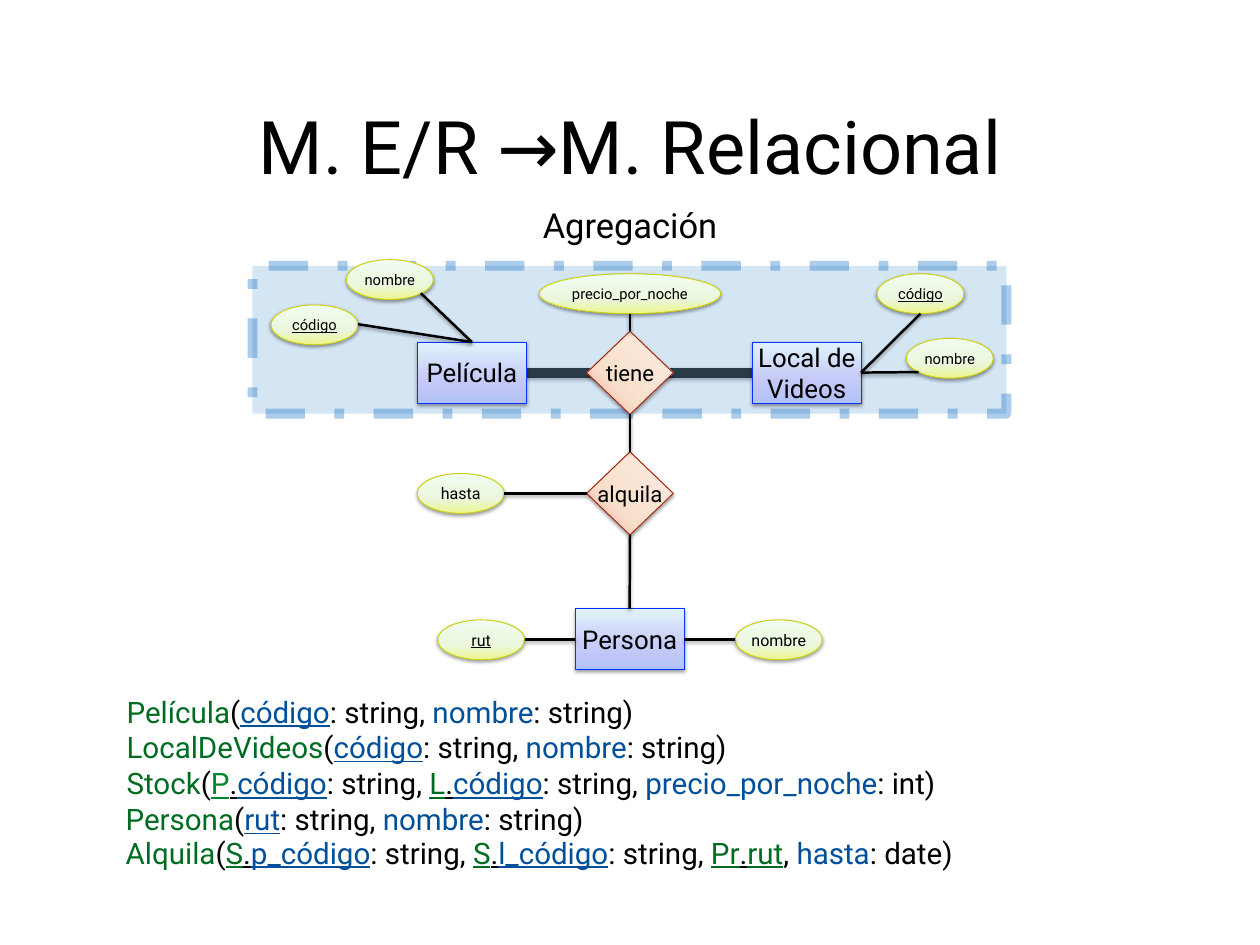
import copy

import pptx
import pptx.dml.color
import pptx.enum.dml
import pptx.enum.shapes
import pptx.enum.text
import pptx.oxml
import pptx.oxml.ns
import pptx.util

Pt = pptx.util.Pt
RGBColor = pptx.dml.color.RGBColor
SHAPE = pptx.enum.shapes.MSO_SHAPE
ALIGN = pptx.enum.text.PP_ALIGN
ANCHOR = pptx.enum.text.MSO_ANCHOR
AUTO_SIZE = pptx.enum.text.MSO_AUTO_SIZE

FONT = "Roboto"
BLACK = RGBColor(0x00, 0x00, 0x00)
GREEN = RGBColor(0x00, 0x6C, 0x22)
LIGHT_GREEN = RGBColor(0x00, 0x88, 0x2B)
BLUE = RGBColor(0x02, 0x50, 0x99)
REGION_FILL = RGBColor(0x7F, 0xB1, 0xDF)
REGION_LINE = RGBColor(0x03, 0x65, 0xC0)
ENTITY_LINE = RGBColor(0x04, 0x33, 0xFF)
RELATION_LINE = RGBColor(0xA0, 0x1D, 0x04)
ATTRIBUTE_LINE = RGBColor(0xCC, 0xCF, 0x00)
ENTITY_STOPS = [(0, RGBColor(0xB2, 0xC2, 0xF5)), (0.36, RGBColor(0xC4, 0xC9, 0xF7)),
                (1, RGBColor(0xE1, 0xF2, 0xFC))]
RELATION_STOPS = [(0, RGBColor(0xF5, 0xA0, 0x9A)), (0.35, RGBColor(0xF7, 0xE0, 0xCB)),
                  (1, RGBColor(0xFF, 0xEB, 0xE7))]
ATTRIBUTE_STOPS = [(0, RGBColor(0xEC, 0xF5, 0x8E)), (0.36, RGBColor(0xEA, 0xF7, 0xDC)),
                   (1, RGBColor(0xF1, 0xFC, 0xF1))]
NAMESPACE = pptx.oxml.ns.nsdecls("a")
SHADOW = (f'<a:effectLst {NAMESPACE}><a:outerShdw blurRad="38100" dist="20320" dir="5400000" '
          'rotWithShape="0"><a:srgbClr val="000000"><a:alpha val="38000"/></a:srgbClr>'
          '</a:outerShdw></a:effectLst>')
ALPHA = f'<a:alpha {NAMESPACE} val="33000"/>'

PLAIN = {"color": BLACK, "underline": False}
TABLE = {"color": GREEN, "underline": False}
COLUMN = {"color": BLUE, "underline": False}
KEY = {"color": BLUE, "underline": True}
REFERENCE = {"color": GREEN, "underline": True}
LIGHT_REFERENCE = {"color": LIGHT_GREEN, "underline": True}
DOT = {"color": BLACK, "underline": True}


def write_text(shape, runs, size, align, inset, anchor=ANCHOR.MIDDLE, wrap=True,
               auto_size=AUTO_SIZE.NONE):
    """Fill a shape with one paragraph of (text, format) runs."""
    frame = shape.text_frame
    frame_format = {"margin_left": Pt(inset), "margin_right": Pt(inset),
                    "margin_top": Pt(inset), "margin_bottom": Pt(inset),
                    "vertical_anchor": anchor, "word_wrap": wrap, "auto_size": auto_size}
    for name, value in frame_format.items():
        setattr(frame, name, value)
    paragraph = frame.paragraphs[0]
    paragraph.alignment = align
    for text, style in runs:
        run = paragraph.add_run()
        run.text = text
        font_format = {"name": FONT, "size": Pt(size), "underline": style["underline"]}
        for name, value in font_format.items():
            setattr(run.font, name, value)
        run.font.color.rgb = style["color"]


def add_line(begin, end, width):
    connector = slide.shapes.add_connector(
        pptx.enum.shapes.MSO_CONNECTOR.STRAIGHT, *(Pt(value) for value in (*begin, *end)))
    connector.line.color.rgb = BLACK
    connector.line.width = Pt(width)
    connector.element.spPr.append(pptx.oxml.parse_xml(SHADOW))
    return connector


presentation = pptx.Presentation()
presentation.slide_width = Pt(1024)
presentation.slide_height = Pt(768)
slide = presentation.slides.add_slide(presentation.slide_layouts[5])

# Headings
title = slide.shapes.title
title_box = {"left": 154, "top": 78.5, "width": 716, "height": 79}
for name, value in title_box.items():
    setattr(title, name, Pt(value))
write_text(title, [("M. E/R →M. Relacional", PLAIN)], 60, ALIGN.CENTER, 4)
subtitle = slide.shapes.add_textbox(Pt(228), Pt(162), Pt(568), Pt(41))
write_text(subtitle, [("Agregación", PLAIN)], 28, ALIGN.CENTER, 4)

# Aggregation region, in front of the thick relation line
relation_line = add_line((428, 303), (611, 303), 8)
region = slide.shapes.add_shape(SHAPE.RECTANGLE, Pt(205.2), Pt(216), Pt(612.7), Pt(120.2))
region.shadow.inherit = False
region.fill.solid()
region.fill.fore_color.rgb = REGION_FILL
region.line.color.rgb = REGION_LINE
region.line.width = Pt(8)
region.line.dash_style = pptx.enum.dml.MSO_LINE.DASH_DOT
for color in region.element.spPr.iter(pptx.oxml.ns.qn("a:srgbClr")):
    color.append(pptx.oxml.parse_xml(ALPHA))

# Entities, relations and attributes: shape, size, stops, line colour, gradient angle
ENTITY = (SHAPE.RECTANGLE, 88.4, 49.6, ENTITY_STOPS, ENTITY_LINE, 90)
RELATION = (SHAPE.DIAMOND, 70.4, 67.6, RELATION_STOPS, RELATION_LINE, 45)
ATTRIBUTE = (SHAPE.OVAL, 70.6, 32.4, ATTRIBUTE_STOPS, ATTRIBUTE_LINE, 90)
WIDE_ATTRIBUTE = (SHAPE.OVAL, 147.6, *ATTRIBUTE[2:])
diagram = [
    (ENTITY, "Película", 383.5, 302.8, 21, PLAIN),
    (RELATION, "alquila", 512, 401, 18, PLAIN),
    (ENTITY, "Local de Videos", 655.6, 302.8, 21, PLAIN),
    (ENTITY, "Persona", 511.7, 519.6, 21, PLAIN),
    (RELATION, "tiene", 512, 303, 18, PLAIN),
    (ATTRIBUTE, "código", 255.6, 264, 12, DOT),
    (ATTRIBUTE, "código", 748.1, 238.7, 12, DOT),
    (ATTRIBUTE, "nombre", 771.9, 291.2, 12, PLAIN),
    (ATTRIBUTE, "nombre", 316.8, 227.2, 12, PLAIN),
    (WIDE_ATTRIBUTE, "precio_por_noche", 512, 238.7, 12, PLAIN),
    (ATTRIBUTE, "hasta", 374.4, 401, 13, PLAIN),
    (ATTRIBUTE, "rut", 391, 520, 13, DOT),
    (ATTRIBUTE, "nombre", 632.9, 520, 13, PLAIN),
]
nodes = {}
for (kind, width, height, stops, line_color, angle), label, x, y, size, style in diagram:
    node = slide.shapes.add_shape(kind, Pt(x - width / 2), Pt(y - height / 2),
                                  Pt(width), Pt(height))
    node.fill.gradient()
    node.fill.gradient_angle = angle
    stop_list = node.element.spPr.find(".//" + pptx.oxml.ns.qn("a:gsLst"))
    stop_list.insert(1, copy.deepcopy(stop_list[0]))
    for stop, (position, color) in zip(node.fill.gradient_stops, stops):
        stop.position = position
        stop.color.rgb = color
    node.line.color.rgb = line_color
    node.line.width = Pt(0.75)
    node.element.spPr.append(pptx.oxml.parse_xml(SHADOW))
    write_text(node, [(label, style)], size, ALIGN.CENTER, 0, wrap=kind == SHAPE.RECTANGLE)
    nodes[label] = node

relation_line.begin_connect(nodes["Película"], 3)
relation_line.end_connect(nodes["Local de Videos"], 1)

# Thin lines: start point, joined node and its side
links = [
    ((512, 336.8), "alquila", 0),
    ((512, 434.8), "Persona", 0),
    ((291, 263.5), "Película", 0),
    ((342, 238.3), "Película", 0),
    ((512, 255), "tiene", 0),
    ((748, 255), "Local de Videos", 3),
    ((746.6, 302.4), "Local de Videos", 3),
    ((409.7, 401), "alquila", 1),
    ((426.3, 519.6), "Persona", 1),
    ((597.6, 519.6), "Persona", 3),
]
for start, label, side in links:
    link = add_line(start, start, 2)
    link.end_connect(nodes[label], side)
    if label in ("alquila", "Persona") and side == 0:
        link.begin_connect(nodes["tiene" if label == "alquila" else "alquila"], 2)

# Relational schema
STRING = (": string, ", PLAIN)
OPEN = ("(", PLAIN)
NAME_ONLY = [STRING, ("nombre", COLUMN), (": string)", PLAIN)]
schema = [
    (98.6, 559.4, 852, 37.4, 4.3, ANCHOR.MIDDLE,
     [("Película", TABLE), OPEN, ("código", KEY), *NAME_ONLY]),
    (95.8, 585.4, 865, 44, 7.2, ANCHOR.TOP,
     [("LocalDeVideos", TABLE), OPEN, ("código", KEY), *NAME_ONLY]),
    (95.8, 614.9, 909, 44, 7.2, ANCHOR.TOP,
     [("Stock", TABLE), OPEN, ("P", LIGHT_REFERENCE), (".", DOT), ("código", KEY), STRING,
      ("L", REFERENCE), (".", DOT), ("código", KEY), STRING,
      ("precio_por_noche", COLUMN), (": int)", PLAIN)]),
    (95, 643.7, 909, 44, 7.2, ANCHOR.TOP,
     [("Persona", TABLE), OPEN, ("rut", KEY), *NAME_ONLY]),
    (95, 671, 790.6, 44, 7.2, ANCHOR.TOP,
     [("Alquila", TABLE), OPEN, ("S", REFERENCE), (".", DOT), ("p_código", KEY), STRING,
      ("S", REFERENCE), (".", DOT), ("l_código", KEY), STRING,
      ("Pr", REFERENCE), (".", DOT), ("rut", REFERENCE), (", ", PLAIN),
      ("hasta", COLUMN), (": date)", PLAIN)]),
]
for left, top, width, height, inset, anchor, runs in schema:
    row = slide.shapes.add_textbox(Pt(left), Pt(top), Pt(width), Pt(height))
    write_text(row, runs, 24, ALIGN.LEFT, inset, anchor, auto_size=AUTO_SIZE.SHAPE_TO_FIT_TEXT)

presentation.save("out.pptx")
